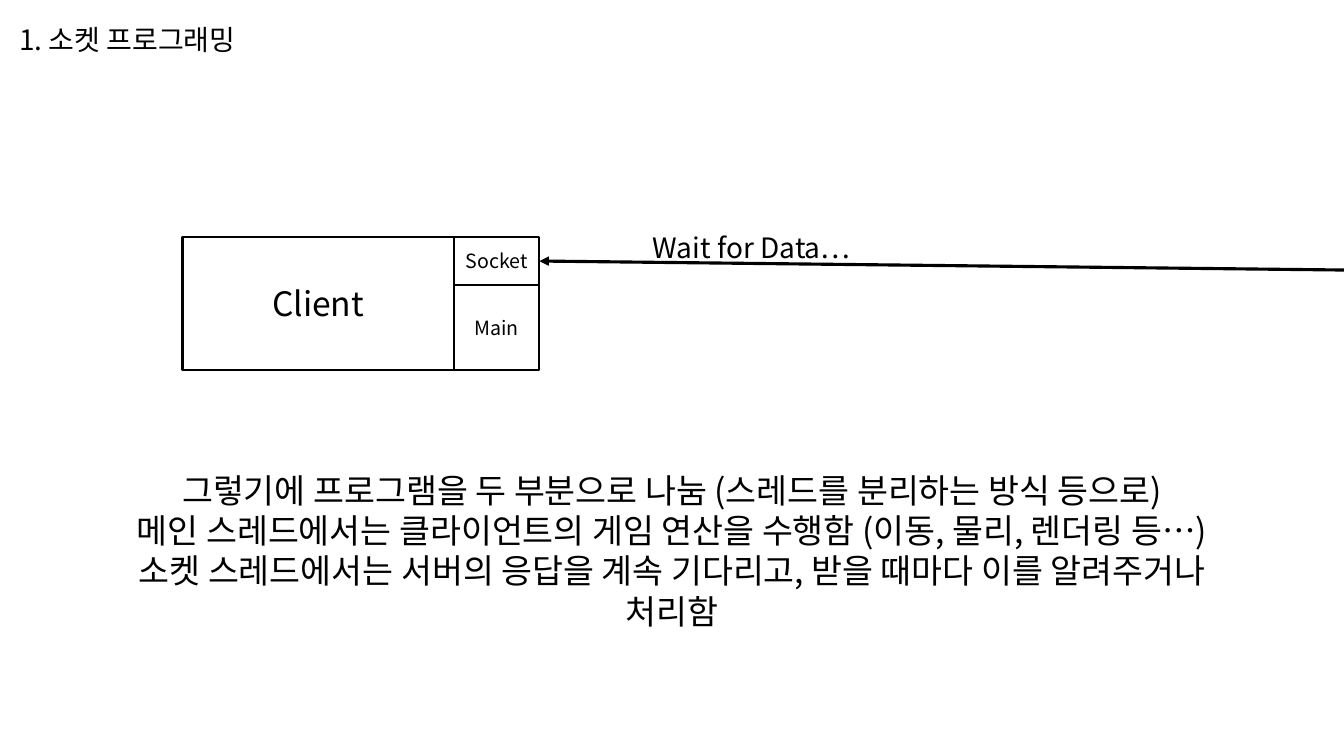
from lxml import etree
from pptx import Presentation
from pptx import util as u
from pptx.dml import color
from pptx.enum import shapes, text
from pptx.oxml import ns

FONT = "Noto Sans CJK KR"
BLACK, WHITE = "000000", "FFFFFF"
WIDTH, HEIGHT = u.Inches(13.33), u.Inches(7.5)
CLIENT_X, THREAD_X, THREAD_W = 1.81, 4.5, 0.85
TOP, SPLIT, BOTTOM = 2.35, 2.83, 3.67


def rgb(value):
    """Turn a hex string into a colour."""
    return color.RGBColor.from_string(value)


def write(frame, lines, size, align):
    """Fill a text frame with one paragraph per line."""
    for index, line in enumerate(lines):
        para = frame.paragraphs[0] if index == 0 else frame.add_paragraph()
        para.text = line
        para.alignment = align
        para.font.name = FONT
        para.font.size = u.Pt(size)
        para.font.color.rgb = rgb(BLACK)
        fonts = para.font._element
        etree.SubElement(fonts, ns.qn("a:ea")).set("typeface", FONT)


def add_label(page, left, top, width, height, lines, size,
              align=text.PP_ALIGN.CENTER):
    """Add a plain text box."""
    box = page.shapes.add_textbox(*map(u.Inches, (left, top, width, height)))
    box.text_frame.word_wrap = True
    box.text_frame.auto_size = text.MSO_AUTO_SIZE.SHAPE_TO_FIT_TEXT
    write(box.text_frame, lines, size, align)


def add_block(page, left, top, right, bottom, name, size):
    """Add an outlined block with a centred name."""
    block = page.shapes.add_shape(
        shapes.MSO_SHAPE.RECTANGLE,
        *map(u.Inches, (left, top, right - left, bottom - top)))
    block.shadow.inherit = False
    block.fill.solid()
    block.fill.fore_color.rgb = rgb(WHITE)
    block.line.color.rgb = rgb(BLACK)
    block.line.width = u.Pt(1.5)
    block.text_frame.vertical_anchor = text.MSO_ANCHOR.MIDDLE
    write(block.text_frame, [name], size, text.PP_ALIGN.CENTER)
    return block


def add_double_arrow(page, block, end_x, end_y):
    """Draw a two-headed arrow from the right side of a block."""
    arrow = page.shapes.add_connector(
        shapes.MSO_CONNECTOR.STRAIGHT, 0, 0, u.Inches(end_x), u.Inches(end_y))
    arrow.begin_connect(block, 3)
    arrow.line.color.rgb = rgb(BLACK)
    arrow.line.width = u.Pt(2.25)
    for end in ("a:headEnd", "a:tailEnd"):
        etree.SubElement(arrow.line._ln, ns.qn(end)).set("type", "triangle")
    etree.SubElement(arrow._element.spPr, ns.qn("a:effectLst"))


def main():
    """Build the socket programming slide."""
    deck = Presentation()
    deck.slide_width, deck.slide_height = WIDTH, HEIGHT
    page = deck.slides.add_slide(deck.slide_layouts[6])
    add_label(page, 0.09, 0.17, 2.42, 0.44, ["1. 소켓 프로그래밍"], 20,
              text.PP_ALIGN.LEFT)
    add_label(page, 1.05, 4.61, 11.23, 1.31, [
        "그렇기에 프로그램을 두 부분으로 나눔 (스레드를 분리하는 방식 등으로)",
        "메인 스레드에서는 클라이언트의 게임 연산을 수행함 (이동, 물리, 렌더링 등…)",
        "소켓 스레드에서는 서버의 응답을 계속 기다리고, 받을 때마다 이를 알려주거나 처리함",
    ], 24)
    thread_right = THREAD_X + THREAD_W
    add_block(page, CLIENT_X, TOP, THREAD_X, BOTTOM, "Client", 24)
    socket = add_block(page, THREAD_X, TOP, thread_right, SPLIT, "Socket", 14)
    add_block(page, THREAD_X, SPLIT, thread_right, BOTTOM, "Main", 14)
    add_double_arrow(page, socket, 13.44, 2.68)
    add_label(page, 6.37, 2.24, 2.17, 0.44, ["Wait for Data…"], 20)
    deck.save("out.pptx")


if __name__ == "__main__":
    main()
